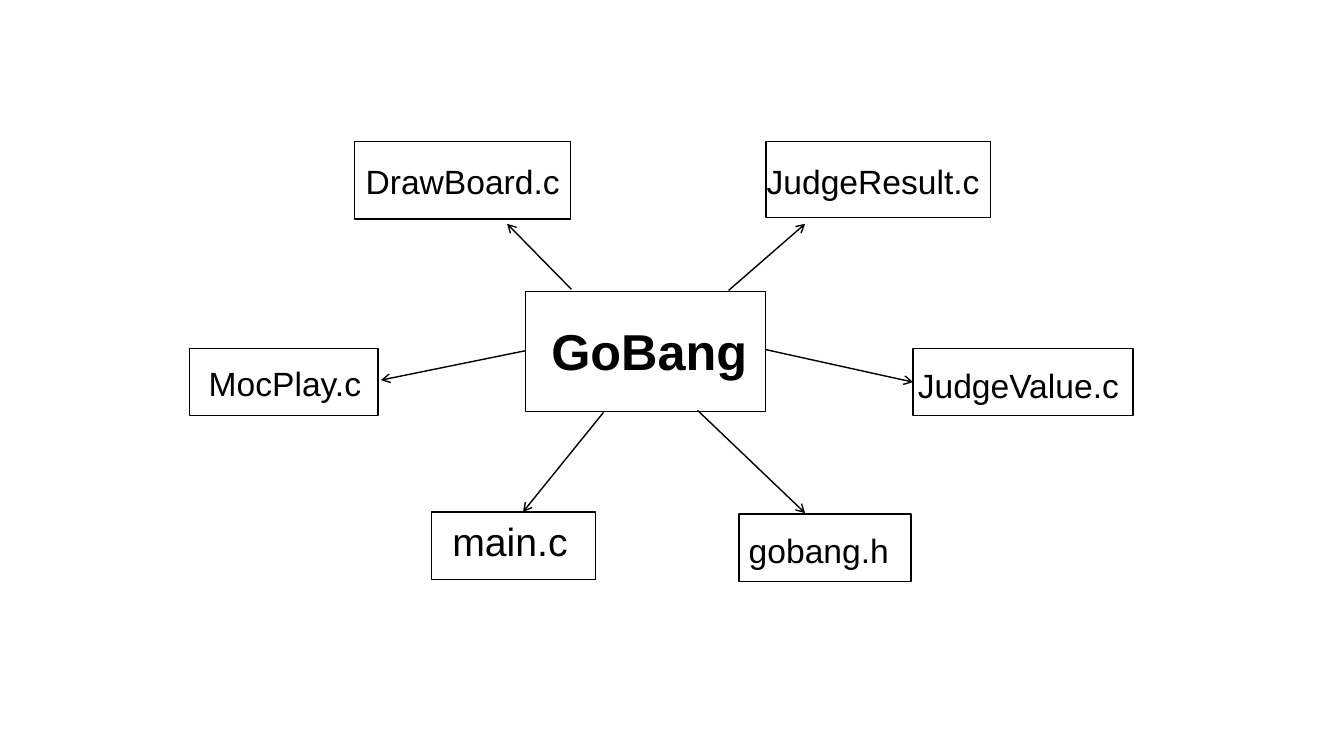
from collections import namedtuple

from lxml.etree import SubElement
from pptx import Presentation
from pptx.dml.color import RGBColor
from pptx.enum.shapes import MSO_CONNECTOR, MSO_SHAPE
from pptx.enum.text import MSO_ANCHOR, MSO_AUTO_SIZE, PP_ALIGN
from pptx.oxml.ns import qn
from pptx.util import Cm, Pt

INK = "000000"
PAPER = "FFFFFF"

# Lengths are centimetres
Box = namedtuple("Box", "left top width height")
# label is relative to the frame, start to the hub, tip to the frame
Module = namedtuple("Module", "name frame label size align start tip")

HUB = Box(13.23, 7.34, 6.07, 3.02)
HUB_LABEL = Box(0.41, 0.61, 7.06, 1.8)
LEFT, CENTER = PP_ALIGN.LEFT, PP_ALIGN.CENTER

MODULES = [
    Module("DrawBoard.c", Box(8.94, 3.56, 5.44, 1.96), Box(0, 0.38, 5.44, 1.57),
           24, CENTER, (1.17, -0.05), (3.84, 2.08)),
    Module("JudgeResult.c", Box(19.3, 3.56, 5.66, 1.93), Box(-0.23, 0.38, 5.87, 1.27),
           24, LEFT, (5.13, -0.02), (0.99, 2.08)),
    Module("MocPlay.c", Box(4.78, 8.79, 4.75, 1.68), Box(0.23, 0.23, 5.41, 1.27),
           24, LEFT, (0, 1.5), (4.82, 0.79)),
    Module("JudgeValue.c", Box(23.01, 8.79, 5.54, 1.68), Box(-0.13, 0.28, 6.1, 1.27),
           24, LEFT, (6.07, 1.47), (0, 0.84)),
    Module("main.c", Box(10.87, 12.9, 4.14, 1.7), Box(0.28, 0, 3.63, 1.45),
           28, LEFT, (1.98, 3.05), (2.31, 0)),
    Module("gobang.h", Box(18.62, 12.95, 4.34, 1.7), Box(0, 0.28, 5.59, 1.6),
           24, LEFT, (4.35, 3), (1.67, -0.02)),
]


def color(value):
    return RGBColor.from_string(value)


def inside(outer, inner):
    return Box(outer.left + inner.left, outer.top + inner.top, inner.width, inner.height)


def lengths(box):
    return [Cm(value) for value in box]


def add_frame(page, box, weight):
    frame = page.shapes.add_shape(MSO_SHAPE.RECTANGLE, *lengths(box))
    frame.shadow.inherit = False
    frame.fill.background()
    frame.line.color.rgb = color(INK)
    frame.line.width = Pt(weight)


def write_label(shape, text, size, align=LEFT, bold=False):
    text_frame = shape.text_frame
    text_frame.word_wrap = True
    text_frame.auto_size = MSO_AUTO_SIZE.NONE
    text_frame.vertical_anchor = MSO_ANCHOR.TOP
    para = text_frame.paragraphs[0]
    para.text = text
    para.alignment = align
    para.line_spacing = 1.0
    para.space_before = Pt(0)
    para.font.name = "Arial"
    para.font.size = Pt(size)
    para.font.bold = bold
    para.font.color.rgb = color(INK)


def add_hub(page, box):
    """Draw the central project box, whose name is the slide title."""
    add_frame(page, box, 0.5)
    title = page.shapes.title
    title.left, title.top, title.width, title.height = lengths(inside(box, HUB_LABEL))
    write_label(title, "GoBang", 36, bold=True)


def add_module(page, module, box):
    """Draw one source file box with its name."""
    add_frame(page, box, 1)
    label = page.shapes.add_textbox(*lengths(inside(box, module.label)))
    write_label(label, module.name, module.size, module.align)


def add_arrow(page, module, hub, box):
    """Join the hub to a source file, with an open head at the file."""
    (start_x, start_y), (tip_x, tip_y) = module.start, module.tip
    arrow = page.shapes.add_connector(
        MSO_CONNECTOR.STRAIGHT,
        Cm(hub.left + start_x), Cm(hub.top + start_y),
        Cm(box.left + tip_x), Cm(box.top + tip_y))
    arrow.line.color.rgb = color(INK)
    arrow.line.width = Pt(1)
    SubElement(arrow.line._get_or_add_ln(), qn("a:tailEnd"), type="arrow")
    SubElement(arrow._element.spPr, qn("a:effectLst"))


def main():
    deck = Presentation()
    deck.slide_width, deck.slide_height = Cm(33.87), Cm(19.05)
    page = deck.slides.add_slide(deck.slide_layouts.get_by_name("Title Only"))
    page.background.fill.solid()
    page.background.fill.fore_color.rgb = color(PAPER)

    # Central box, then each file with its arrow
    add_hub(page, HUB)
    for module in MODULES:
        add_module(page, module, module.frame)
        add_arrow(page, module, HUB, module.frame)

    deck.save("out.pptx")


if __name__ == "__main__":
    main()
